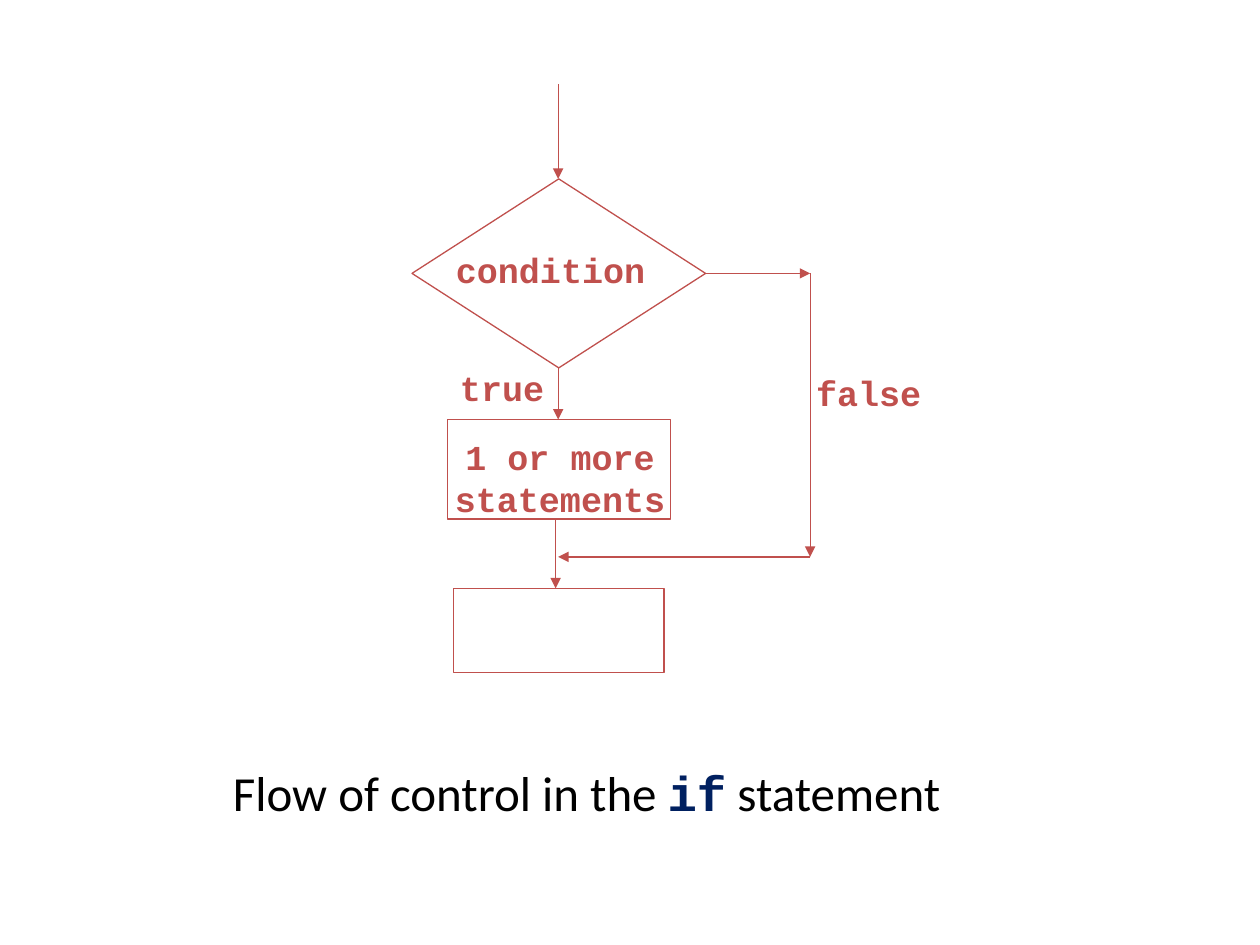
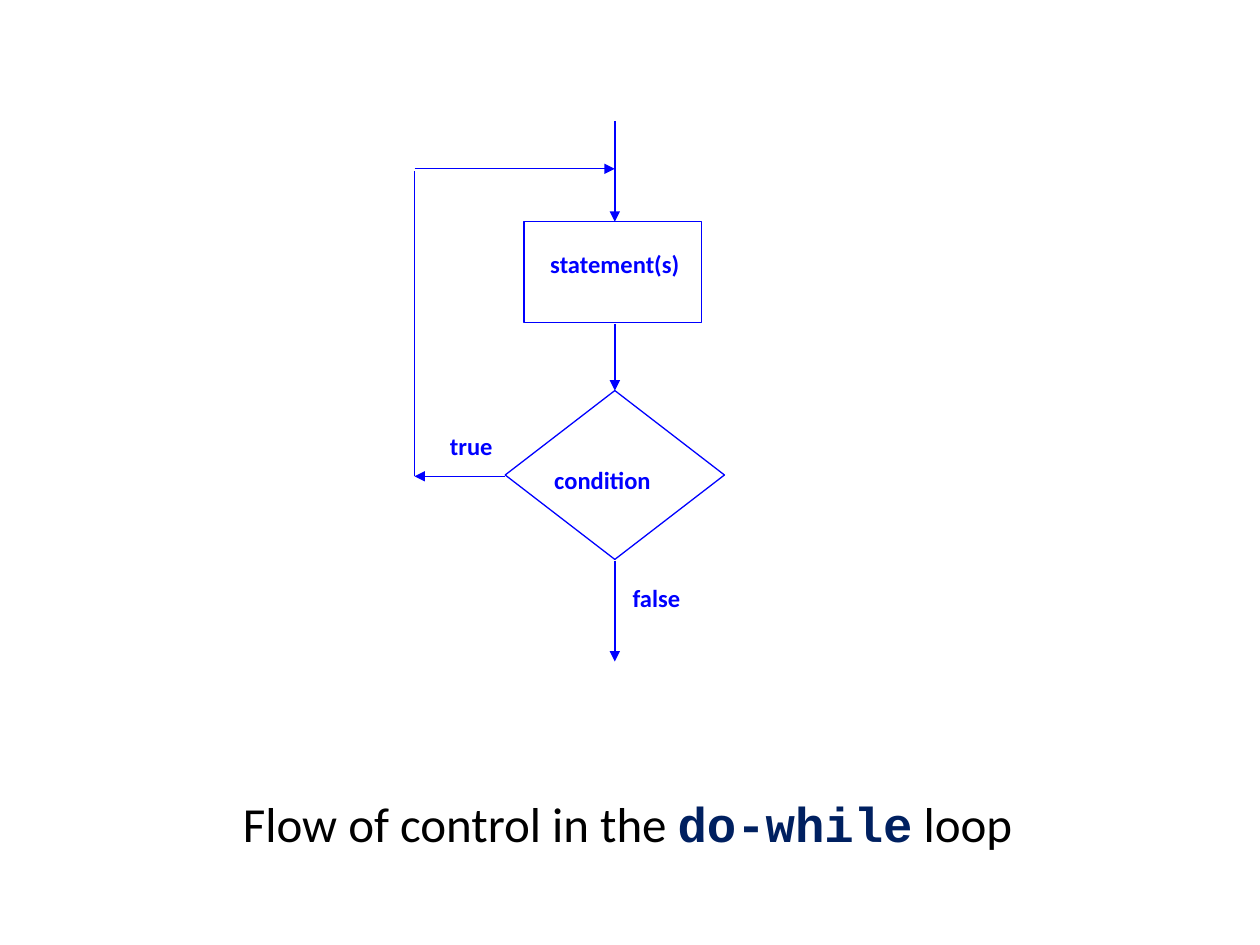
import dataclasses

import lxml.etree
import pptx
import pptx.dml.color
import pptx.enum.shapes
import pptx.enum.text
import pptx.oxml.ns
import pptx.util

Inches = pptx.util.Inches
Shape = pptx.enum.shapes.MSO_SHAPE
Align = pptx.enum.text.PP_ALIGN
Fit = pptx.enum.text.MSO_AUTO_SIZE


@dataclasses.dataclass(frozen=True)
class Theme:
    body: str = "Calibri"
    code: str = "Courier New"
    black: str = "000000"
    keyword: str = "002060"
    red: str = "C0504D"
    blue: str = "0000FF"
    title_size: int = 28
    code_label_size: int = 20
    label_size: int = 14
    line_width: float = 0.75


THEME = Theme()
TITLE = {"size": THEME.title_size, "name": THEME.body, "color": THEME.black, "bold": False}
KEYWORD = {**TITLE, "name": THEME.code, "color": THEME.keyword, "bold": True}
CODE_LABEL = {"size": THEME.code_label_size, "name": THEME.code, "color": THEME.red, "bold": True}
LABEL = {"size": THEME.label_size, "name": THEME.body, "color": THEME.blue, "bold": True}


def rgb(color):
    return pptx.dml.color.RGBColor.from_string(color)


def style_line(line, color):
    line.color.rgb = rgb(color)
    line.width = pptx.util.Pt(THEME.line_width)


def add_outline(shapes, kind, place, color):
    shape = shapes.add_shape(kind, *map(Inches, place))
    shape.shadow.inherit = False
    shape.fill.background()
    style_line(shape.line, color)


def add_line(shapes, start, end, color, arrow=True):
    straight = pptx.enum.shapes.MSO_CONNECTOR.STRAIGHT
    line = shapes.add_connector(straight, *map(Inches, (*start, *end)))
    style_line(line.line, color)
    properties = line._element.spPr
    if arrow:
        tail = lxml.etree.SubElement(line.line._ln, pptx.oxml.ns.qn("a:tailEnd"))
        tail.set("type", "triangle")
    lxml.etree.SubElement(properties, pptx.oxml.ns.qn("a:effectLst"))


def add_text(shapes, place, paragraphs, align=Align.CENTER, wrap=True, fit=Fit.NONE):
    box = shapes.add_textbox(*map(Inches, place))
    frame = box.text_frame
    for name, value in {"word_wrap": wrap, "auto_size": fit}.items():
        setattr(frame, name, value)
    for index, spans in enumerate(paragraphs):
        para = frame.add_paragraph() if index else frame.paragraphs[0]
        para.alignment = align
        for text, look in spans:
            span = para.add_run()
            span.text = text
            values = {**look, "size": pptx.util.Pt(look["size"])}
            span.font.color.rgb = rgb(values.pop("color"))
            for name, value in values.items():
                setattr(span.font, name, value)


def add_code_label(shapes, place, *lines):
    paragraphs = [[(line, CODE_LABEL)] for line in lines]
    add_text(shapes, place, paragraphs, wrap=False, fit=Fit.SHAPE_TO_FIT_TEXT)


def add_label(shapes, place, text, align=Align.CENTER):
    add_text(shapes, place, [[(text, LABEL)]], align)


def add_title(slide, place, keyword, ending):
    spans = [("Flow of control in the ", TITLE), (keyword, KEYWORD), (ending, TITLE)]
    add_text(slide.shapes, place, [spans], Align.LEFT, fit=Fit.SHAPE_TO_FIT_TEXT)


def build_if(slide):
    chart = slide.shapes.add_group_shape().shapes
    add_outline(chart, Shape.FLOWCHART_DECISION, (3.27, 1.42, 2.33, 1.5), THEME.red)
    add_outline(chart, Shape.FLOWCHART_PROCESS, (3.55, 3.33, 1.77, 0.79), THEME.red)
    add_outline(chart, Shape.FLOWCHART_PROCESS, (3.6, 4.67, 1.67, 0.67), THEME.red)
    add_code_label(chart, (3.51, 1.92, 1.72, 0.43), "condition")
    add_code_label(chart, (3.5, 3.41, 1.89, 0.77), "1 or more", "statements")
    add_code_label(chart, (3.53, 2.86, 0.91, 0.43), "true")
    add_code_label(chart, (6.35, 2.9, 1.09, 0.43), "false")
    center, bypass, middle, merge = 4.43, 6.43, 2.17, 4.42
    for start, end in (
        ((center, 0.67), (center, 1.42)),
        ((center, 2.92), (center, 3.33)),
        ((5.6, middle), (bypass, middle)),
        ((bypass, middle), (bypass, merge)),
        ((bypass, merge), (center, merge)),
        ((4.41, 4.12), (4.41, 4.67)),
    ):
        add_line(chart, start, end, THEME.red)
    add_title(slide, (1.75, 6, 8.08, 0.57), "if", " statement")


def build_do_while(slide):
    chart = slide.shapes.add_group_shape().shapes
    add_outline(chart, Shape.RECTANGLE, (4.16, 1.76, 1.41, 0.8), THEME.blue)
    add_outline(chart, Shape.FLOWCHART_DECISION, (4.01, 3.1, 1.74, 1.34), THEME.blue)
    add_label(chart, (4.16, 1.93, 1.44, 0.5), "statement(s)")
    add_label(chart, (4.3, 3.64, 1.09, 0.46), "condition", Align.LEFT)
    add_label(chart, (4.73, 4.58, 0.96, 0.46), "false")
    add_label(chart, (3.33, 3.37, 0.82, 0.46), "true")
    center, back, middle, merge = 4.88, 3.29, 3.78, 1.34
    for start, end in (
        ((center, 0.96), (center, 1.76)),
        ((center, 2.57), (center, 3.1)),
        ((center, 4.45), (center, 5.25)),
        ((4.01, middle), (back, middle)),
        ((back, merge), (center, merge)),
    ):
        add_line(chart, start, end, THEME.blue)
    add_line(chart, (back, middle), (back, 1.36), THEME.blue, arrow=False)
    add_title(slide, (1.83, 6.25, 6.67, 0.57), "do-while", " loop")


def main():
    deck = pptx.Presentation()
    deck.slide_width, deck.slide_height = Inches(10), Inches(7.5)
    for build in (build_if, build_do_while):
        build(deck.slides.add_slide(deck.slide_layouts[6]))
    deck.save("out.pptx")


main()
